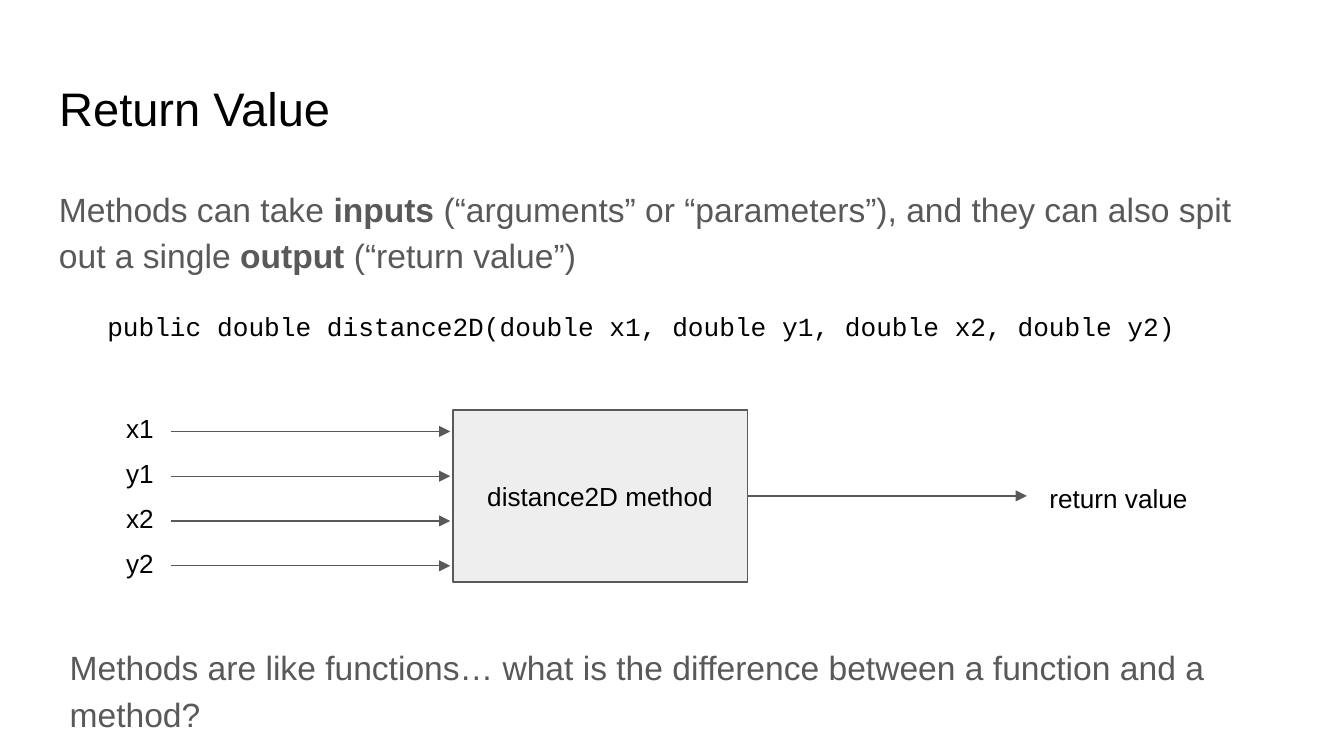
from pptx import Presentation
from pptx.dml.color import RGBColor
from pptx.enum.shapes import MSO_CONNECTOR, MSO_SHAPE
from pptx.enum.text import MSO_ANCHOR, MSO_AUTO_SIZE, PP_ALIGN
from pptx.oxml.ns import qn
from pptx.util import Inches, Pt
from lxml import etree

BLACK = RGBColor(0x00, 0x00, 0x00)
GREY = RGBColor(0x59, 0x59, 0x59)
PALE = RGBColor(0xEE, 0xEE, 0xEE)
LINE = MSO_CONNECTOR.STRAIGHT
RECT = MSO_SHAPE.RECTANGLE
TOP, MIDDLE = MSO_ANCHOR.TOP, MSO_ANCHOR.MIDDLE
LEFT, CENTER = PP_ALIGN.LEFT, PP_ALIGN.CENTER
FIXED = MSO_AUTO_SIZE.NONE
RIGHT_SIDE = 3

TITLE = "Return Value"
INTRO = [
    ("Methods can take ", False),
    ("inputs", True),
    (" (“arguments” or “parameters”), and they can also spit out a single ", False),
    ("output", True),
    (" (“return value”)", False),
]
CODE = "public double distance2D(double x1, double y1, double x2, double y2)"
INPUTS = ["x1", "y1", "x2", "y2"]
METHOD = "distance2D method"
OUTPUT = "return value"
ASK = [("Methods are like functions… what is the difference between a function and a method?", False)]

WIDTH = 10
HEIGHT = WIDTH * 9 / 16
BOX = (3.37, 3.05, 2.19, 1.28)
FIRST, LAST = 3.21, 4.21
STEP = (LAST - FIRST) / (len(INPUTS) - 1)
MID = BOX[1] + BOX[3] / 2


def write(shape, runs, size, color=BLACK, face="Arial", anchor=TOP, align=LEFT):
    frame = shape.text_frame
    frame.word_wrap = True
    frame.auto_size = FIXED
    frame.vertical_anchor = anchor
    frame.margin_left = frame.margin_right = Inches(0.1)
    frame.margin_top = frame.margin_bottom = Inches(0.1)
    para = frame.paragraphs[0]
    para.alignment = align
    para.font.size = Pt(size)
    para.font.name = face
    para.font.color.rgb = color
    for text, bold in runs:
        run = para.add_run()
        run.text = text
        if bold:
            run.font.bold = True
    return para


def label(slide, place, text, face="Arial"):
    box = slide.shapes.add_textbox(*map(Inches, place))
    write(box, [(text, False)], 14, face=face)


def prose(slide, place, runs):
    box = slide.shapes.add_textbox(*map(Inches, place))
    para = write(box, runs, 18, GREY)
    para.line_spacing = 1.15
    para.space_after = Pt(12)


def arrow(slide, start, end, y):
    line = slide.shapes.add_connector(LINE, *map(Inches, (start, y, end, y)))
    line.line.color.rgb = GREY
    line.line.width = Pt(0.75)
    props = line._element.spPr
    tail = etree.SubElement(props.find(qn("a:ln")), qn("a:tailEnd"))
    tail.set("type", "triangle")
    etree.SubElement(props, qn("a:effectLst"))
    return line


def main():
    deck = Presentation()
    deck.slide_width, deck.slide_height = Inches(WIDTH), Inches(HEIGHT)
    slide = deck.slides.add_slide(deck.slide_layouts[5])

    title = slide.shapes.title
    title.left, title.top, title.width, title.height = map(Inches, (0.34, 0.49, 9.32, 0.63))
    write(title, [(TITLE, False)], 25.2)

    prose(slide, (0.34, 1.26, 9.32, 1.06), INTRO)
    prose(slide, (0.42, 4.67, 9.01, 0.85), ASK)
    label(slide, (0.7, 2.21, 8.56, 0.44), CODE, "Courier New")

    box = slide.shapes.add_shape(RECT, *map(Inches, BOX))
    box.shadow.inherit = False
    box.fill.solid()
    box.fill.fore_color.rgb = PALE
    box.line.color.rgb = GREY
    box.line.width = Pt(0.75)
    write(box, [(METHOD, False)], 14, anchor=MIDDLE, align=CENTER)

    for i, name in enumerate(INPUTS):
        y = FIRST + i * STEP
        label(slide, (0.84, y - 0.24, 0.53, 0.44), name)
        arrow(slide, 1.27, 3.35, y)

    out = arrow(slide, BOX[0] + BOX[2], 7.64, MID)
    out.begin_connect(box, RIGHT_SIDE)
    label(slide, (7.71, 3.49, 1.34, 0.44), OUTPUT)

    deck.save("out.pptx")


if __name__ == "__main__":
    main()
